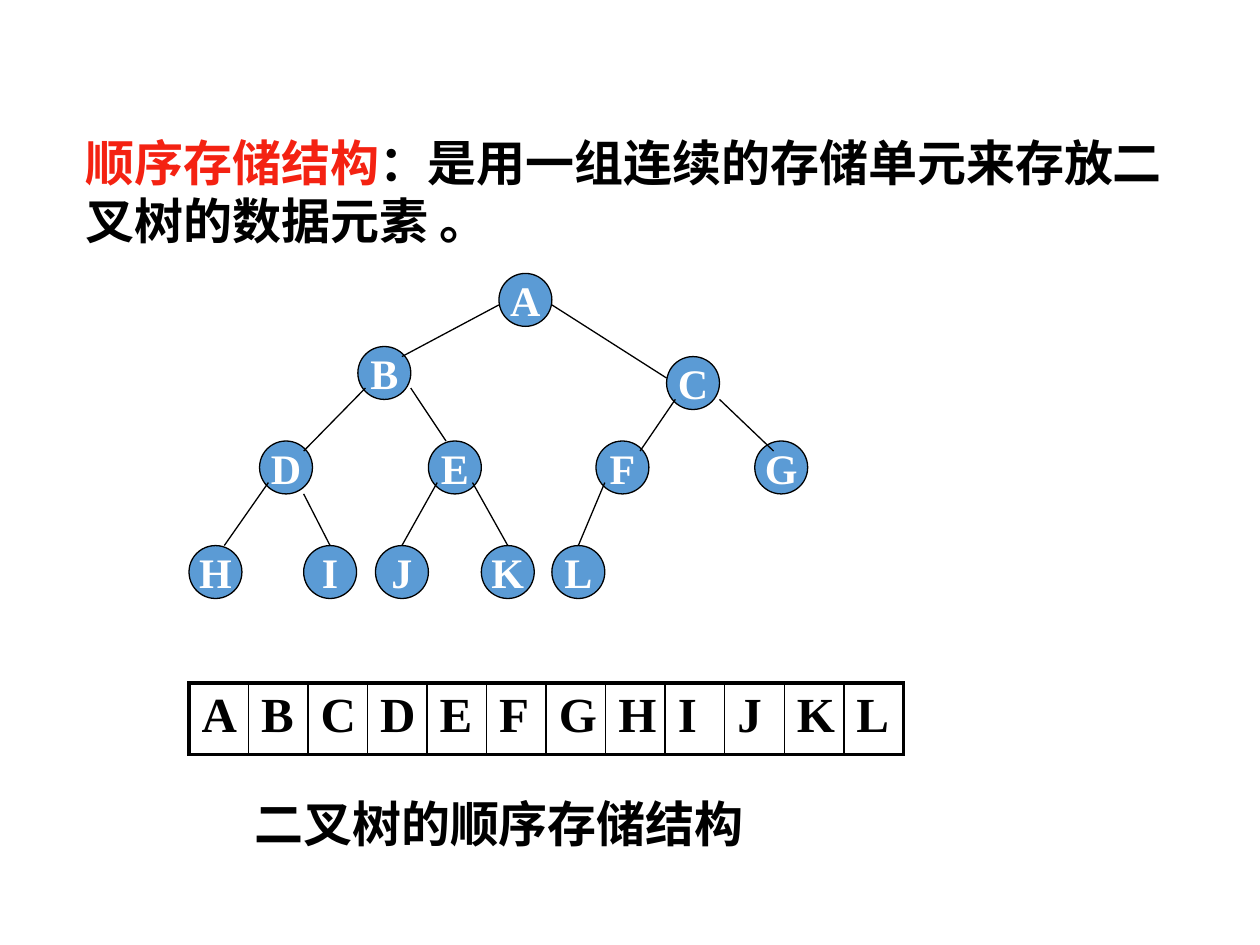
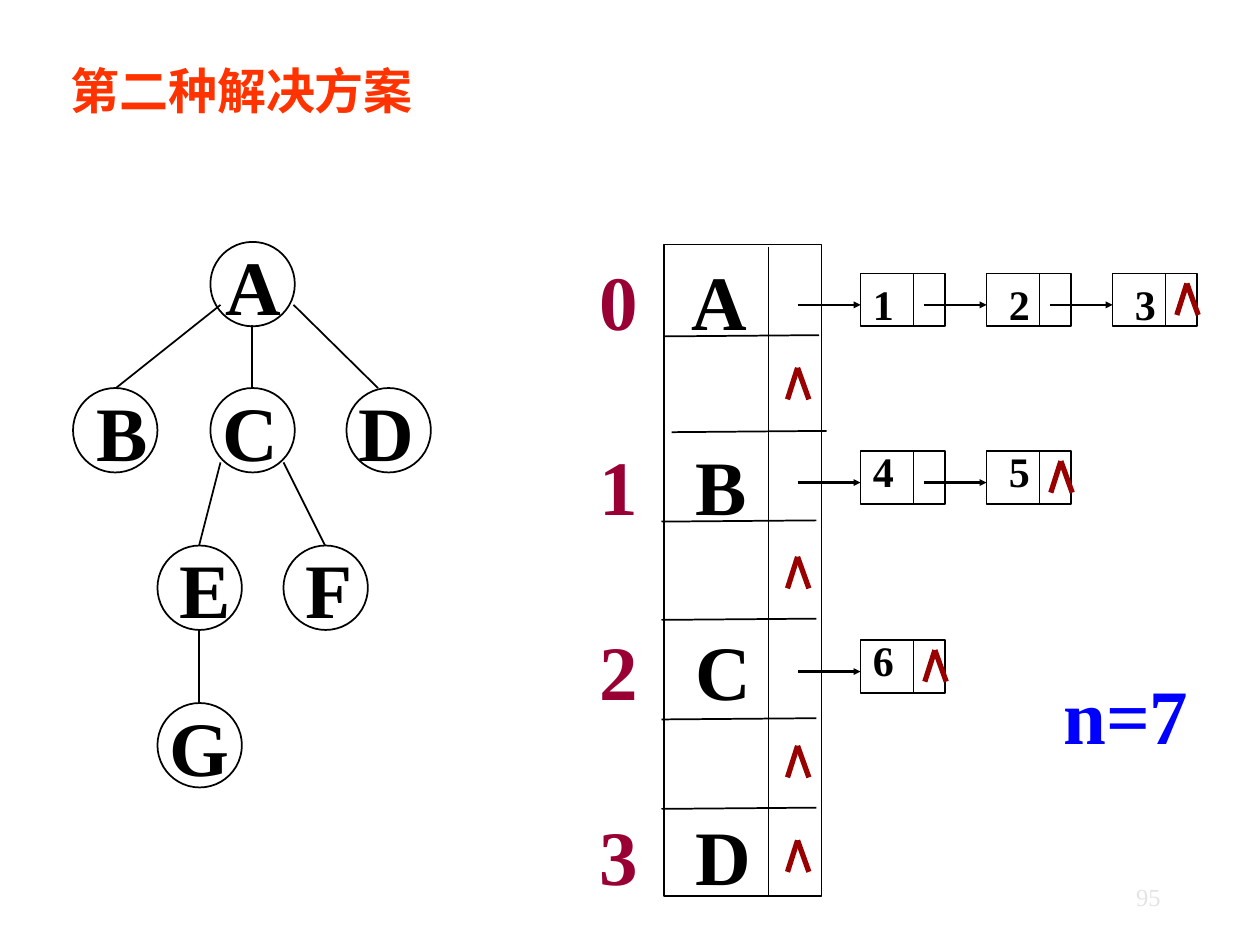
from lxml import etree
from pptx import Presentation
from pptx.dml.color import RGBColor
from pptx.enum.shapes import MSO_CONNECTOR, MSO_SHAPE
from pptx.enum.text import MSO_ANCHOR, PP_ALIGN
from pptx.oxml.ns import qn
from pptx.util import Cm, Pt

LINE, OVAL, RECT = MSO_CONNECTOR.STRAIGHT, MSO_SHAPE.OVAL, MSO_SHAPE.RECTANGLE
LEFT, CENTER, RIGHT = PP_ALIGN.LEFT, PP_ALIGN.CENTER, PP_ALIGN.RIGHT
MIDDLE = MSO_ANCHOR.MIDDLE

BLACK = RGBColor(0x00, 0x00, 0x00)
WHITE = RGBColor(0xFF, 0xFF, 0xFF)
BLUE = RGBColor(0x5B, 0x9B, 0xD5)
RED = RGBColor(0xF4, 0x22, 0x12)
ORANGE = RGBColor(0xFF, 0x33, 0x00)
PURE_BLUE = RGBColor(0x00, 0x00, 0xFF)
CRIMSON = RGBColor(0x99, 0x00, 0x33)
DARK_RED = RGBColor(0x99, 0x00, 0x00)
PALE_GREY = RGBColor(0xE4, 0xE4, 0xE4)

SERIF = "Times New Roman"
SANS = "Noto Sans CJK SC"


def inch(value):
    return Cm(value * 2.54)


def format_run(r, size, color, font=SERIF, bold=True):
    r.font.size = Pt(size)
    r.font.bold = bold
    r.font.color.rgb = color
    r.font.name = font
    # Chinese characters always use the sans face
    ea = etree.SubElement(r._r.get_or_add_rPr(), qn("a:ea"))
    ea.set("typeface", SANS)


def add_text(slide, box, parts, size, font=SERIF, wrap=False, align=LEFT, bold=True):
    """Add a one-paragraph box; parts are (text, colour) pairs."""
    tf = slide.shapes.add_textbox(*map(inch, box)).text_frame
    tf.word_wrap = wrap
    p = tf.paragraphs[0]
    p.alignment = align
    for text, color in parts:
        r = p.add_run()
        r.text = text
        format_run(r, size, color, font, bold)


def add_outline(slide, kind, box, weight=1.0, fill=None):
    sp = slide.shapes.add_shape(kind, *map(inch, box))
    sp.shadow.inherit = False
    if fill is None:
        sp.fill.background()
    else:
        sp.fill.solid()
        sp.fill.fore_color.rgb = fill
    sp.line.color.rgb = BLACK
    sp.line.width = Pt(weight)
    return sp


def add_line(slide, x1, y1, x2, y2, weight=1.0, color=BLACK, arrow=False):
    line = slide.shapes.add_connector(LINE, *map(inch, (x1, y1, x2, y2)))
    line.line.color.rgb = color
    line.line.width = Pt(weight)
    sp_pr = line._element.spPr
    if arrow:
        etree.SubElement(sp_pr.find(qn("a:ln")), qn("a:tailEnd"),
                         type="triangle", w="sm", len="sm")
    etree.SubElement(sp_pr, qn("a:effectLst"))


def add_filled_node(slide, letter, x, y):
    sp = add_outline(slide, OVAL, (x, y, 0.42, 0.42), 0.75, BLUE)
    tf = sp.text_frame
    tf.word_wrap = False
    tf.vertical_anchor = MIDDLE
    p = tf.paragraphs[0]
    p.text = letter
    p.alignment = CENTER
    format_run(p.runs[0], 24, WHITE)


def add_null_mark(slide, x, y):
    """Draw the empty-pointer sign with its tip at x, y."""
    for dx in (-0.08, 0.09):
        add_line(slide, x, y, x + dx, y + 0.25, 3, DARK_RED)


def set_borders(cell, widths):
    tc_pr = cell._tc.get_or_add_tcPr()
    for position, (side, width) in enumerate(widths.items()):
        ln = etree.Element(qn("a:" + side), w=str(Pt(width)))
        fill = etree.SubElement(ln, qn("a:solidFill"))
        etree.SubElement(fill, qn("a:srgbClr"), val=str(BLACK))
        tc_pr.insert(position, ln)


def add_array(slide, letters, x, y, width, height):
    table = slide.shapes.add_table(
        1, len(letters), *map(inch, (x, y, width, height))).table
    table.first_row = table.horz_banding = False
    last = len(letters) - 1
    for i, letter in enumerate(letters):
        table.columns[i].width = inch(width / len(letters))
        cell = table.cell(0, i)
        cell.fill.background()
        cell.text_frame.text = letter
        format_run(cell.text_frame.paragraphs[0].runs[0], 28, BLACK)
        set_borders(cell, {"lnL": 2.25 if i == 0 else 1,
                           "lnR": 2.25 if i == last else 1,
                           "lnT": 2.25, "lnB": 2.25})


def add_child_chain(slide, numbers, y, text_y):
    """Draw linked cells, one inch apart, ending in an empty pointer."""
    for i, number in enumerate(numbers):
        x = 6.83 + i
        indent = 0.08 if i else 0
        add_text(slide, (x + indent, text_y, 0.37, 0.5), [(number, BLACK)], 24)
        add_outline(slide, RECT, (x, y, 0.67, 0.42))
        add_line(slide, x + 0.42, y, x + 0.42, y + 0.42)
        add_line(slide, x - 0.5, y + 0.25, x, y + 0.25, 1.5, arrow=True)
    add_null_mark(slide, x + 0.59, y + 0.08)


def build_sequential_storage(prs):
    slide = prs.slides.add_slide(prs.slide_layouts[6])
    add_text(slide, (0.58, 1, 9.08, 1.03),
             [("顺序存储结构", RED),
              ("：是用一组连续的存储单元来存放二叉树的数据元素 。", BLACK)], 28, wrap=True)

    # Binary tree
    nodes = {"A": (3.96, 2.17), "B": (2.84, 2.75), "C": (5.29, 2.83)}
    nodes.update(zip("DEFG", ((x, 3.5) for x in (2.06, 3.4, 4.73, 5.99))))
    nodes.update(zip("HIJKL", ((x, 4.33) for x in (1.5, 2.41, 2.98, 3.82, 4.38))))
    for letter, (x, y) in nodes.items():
        add_filled_node(slide, letter, x, y)
    edges = [
        (3.96, 2.42, 3.19, 2.83), (4.38, 2.42, 5.29, 3), (2.9, 3.08, 2.41, 3.58),
        (3.26, 3.08, 3.54, 3.5), (5.36, 3.17, 5.08, 3.58), (5.71, 3.17, 6.14, 3.58),
        (2.13, 3.83, 1.78, 4.33), (2.41, 3.92, 2.62, 4.33), (3.47, 3.83, 3.19, 4.33),
        (3.75, 3.83, 4.03, 4.33), (4.8, 3.83, 4.59, 4.33),
    ]
    for edge in edges:
        add_line(slide, *edge, weight=0.75)

    # Array holding the nodes in order
    add_array(slide, "ABCDEFGHIJKL", 1.5, 5.42, 5.67, 0.57)
    add_text(slide, (1.92, 6.25, 4.75, 0.57), [("二叉树的顺序存储结构", BLACK)], 28, wrap=True)


def build_child_lists(prs):
    slide = prs.slides.add_slide(prs.slide_layouts[6])
    add_text(slide, (0.46, 0.43, 7.38, 0.57), [("第二种解决方案", ORANGE)], 28, SANS, wrap=True)
    add_text(slide, (8.34, 5.25, 1.5, 0.84), [("n=7", PURE_BLUE)], 44, wrap=True)

    # Tree: circle left and top, letter left and width
    nodes = {
        "A": (1.67, 1.92, 1.69, 0.64), "B": (0.58, 3.08, 0.67, 0.61),
        "C": (1.67, 3.08, 1.67, 0.64), "D": (2.75, 3.08, 2.75, 0.64),
        "E": (1.25, 4.33, 1.33, 0.61), "F": (2.25, 4.33, 2.33, 0.57),
        "G": (1.25, 5.58, 1.25, 0.68),
    }
    for letter, (x, y, text_x, text_width) in nodes.items():
        add_outline(slide, OVAL, (x, y, 0.67, 0.67))
        add_text(slide, (text_x, y - 0.08, text_width, 0.83), [(letter, BLACK)], 44)
    edges = [
        (2.33, 2.42, 3, 3.08), (1.75, 2.42, 0.92, 3.08), (2, 2.58, 2, 3.08),
        (1.75, 3.67, 1.58, 4.33), (2.25, 3.67, 2.58, 4.33), (1.58, 5, 1.58, 5.58),
    ]
    for edge in edges:
        add_line(slide, *edge)

    # Node array with its index column
    for i, letter in enumerate("ABCD"):
        y = 1.96 + 1.47 * i
        letter_x = 5.42 if i else 5.39
        add_text(slide, (4.66, y, 0.51, 0.83), [(str(i), CRIMSON)], 44)
        add_text(slide, (letter_x, y, 0.65, 0.83), [(letter, BLACK)], 44)
    add_outline(slide, RECT, (5.27, 1.94, 1.25, 5.17))
    add_line(slide, 6.1, 1.96, 6.1, 7.12)
    for x, y in ((5.27, 2.67), (5.33, 3.43), (5.25, 4.14),
                 (5.25, 4.92), (5.25, 5.71), (5.25, 6.42)):
        add_line(slide, x, y, x + 1.23, y - 0.01)
    for y in (2.92, 4.42, 5.92, 6.67):
        add_null_mark(slide, 6.33, y)

    # Child lists
    for numbers, y, text_y in (("123", 2.17, 2.16), ("45", 3.58, 3.49), ("6", 5.08, 4.99)):
        add_child_chain(slide, numbers, y, text_y)

    # Page number
    add_text(slide, (8.31, 6.95, 1, 0.4), [("95", PALE_GREY)], 14, align=RIGHT,
             wrap=True, bold=False)


def main():
    prs = Presentation()
    prs.slide_width, prs.slide_height = inch(10), inch(7.5)
    build_sequential_storage(prs)
    build_child_lists(prs)
    prs.save("out.pptx")


if __name__ == "__main__":
    main()
